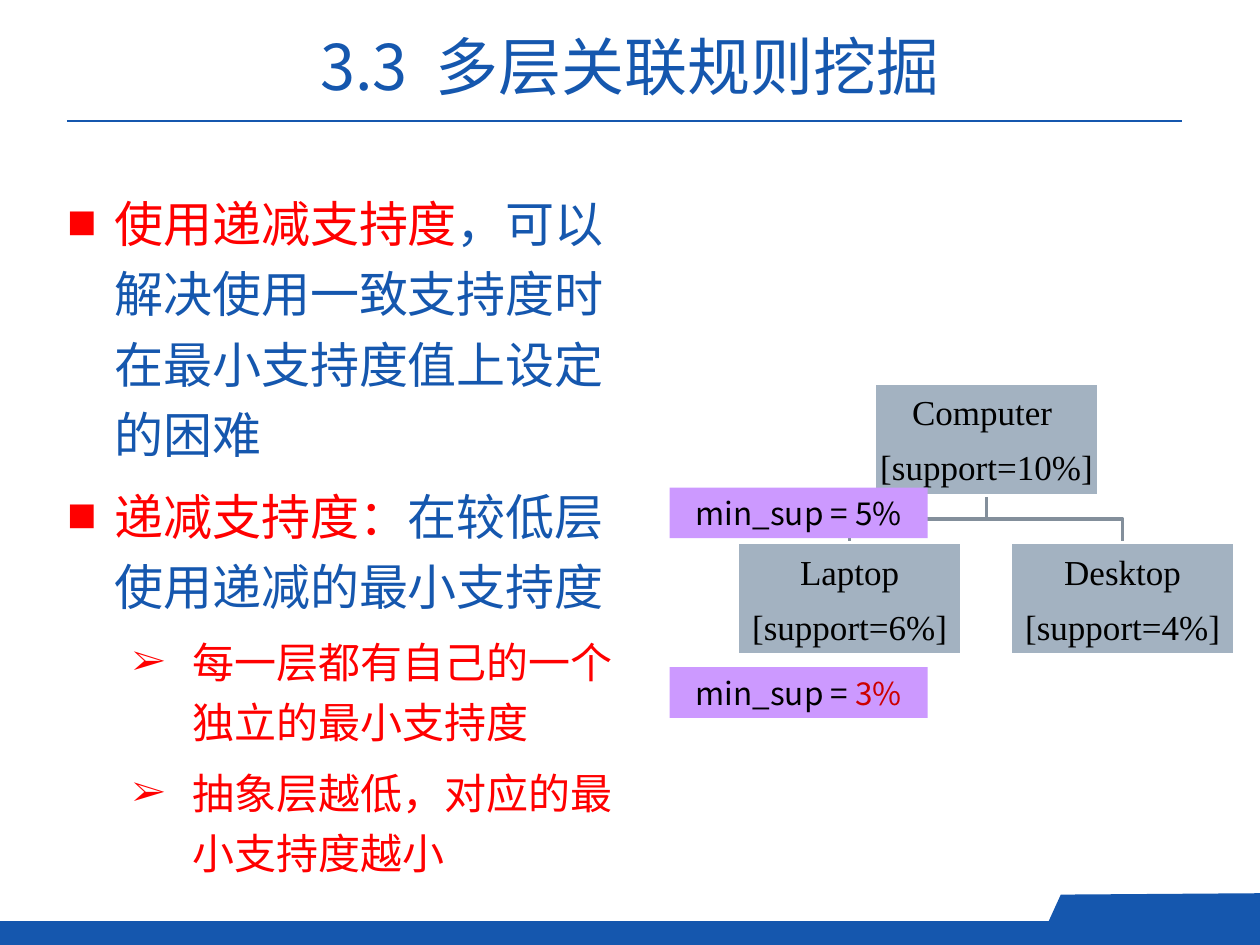
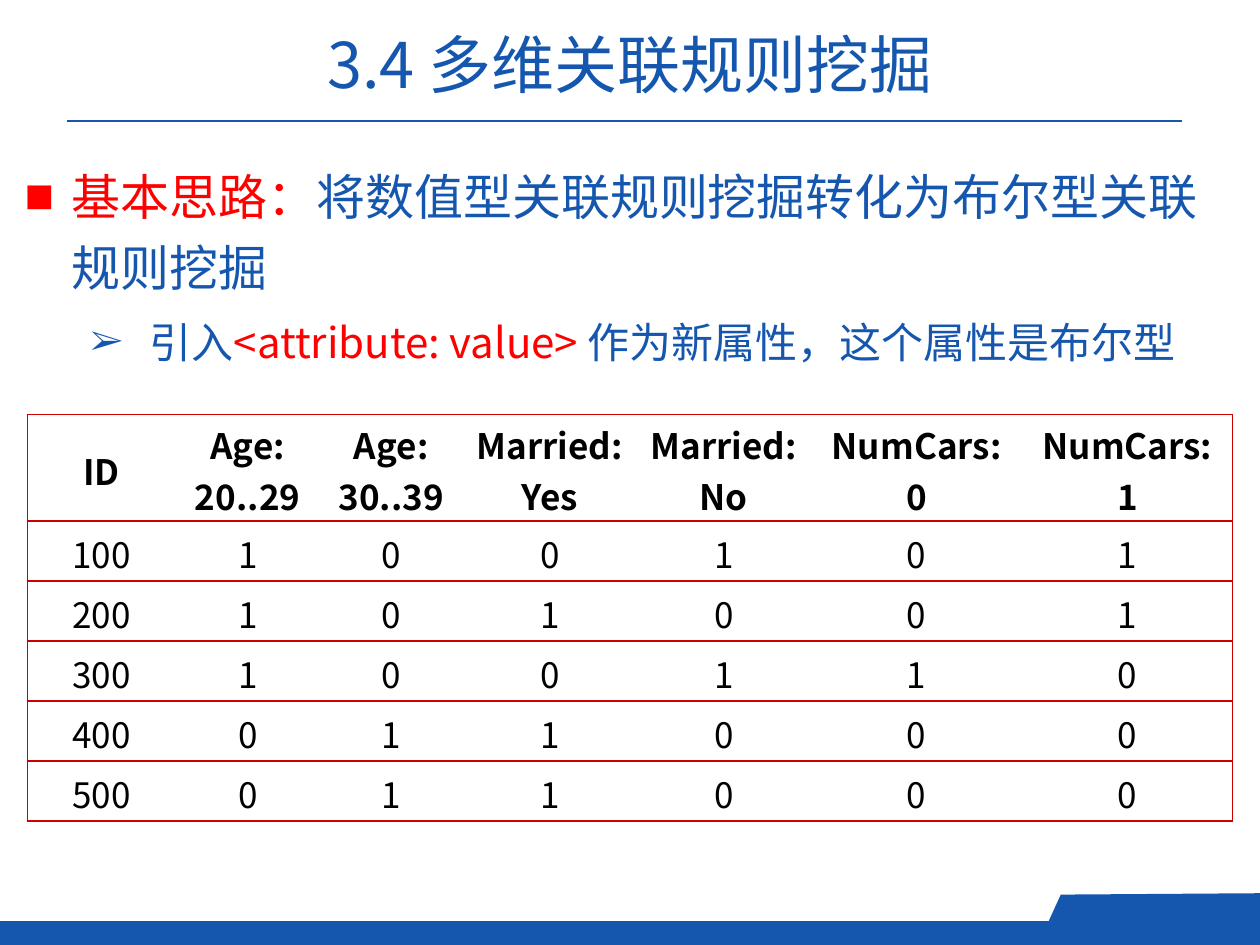
from lxml.etree import SubElement
from pptx import Presentation
from pptx.dml.color import RGBColor
from pptx.enum.shapes import MSO_CONNECTOR, MSO_SHAPE
from pptx.enum.text import MSO_ANCHOR, PP_ALIGN
from pptx.oxml.ns import qn
from pptx.util import Pt

# Content
COLOURS = {"blue": "1557AE", "red": "FF0000", "dark red": "CC0000", "black": "000000",
           "white": "FFFFFF", "node": "A3B2C1", "branch": "838F9B", "threshold": "CC99FF"}
SANS, SERIF = "Noto Sans CJK SC", "Times New Roman"

# Each bullet is a level and its runs of text and colour
SUPPORT_BULLETS = [
    (0, [("使用递减支持度", "red"), ("，可以解决使用一致支持度时在最小支持度值上设定的困难", "blue")]),
    (0, [("递减支持度：", "red"), ("在较低层使用递减的最小支持度", "blue")]),
    (1, [("每一层都有自己的一个独立的最小支持度", "red")]),
    (1, [("抽象层越低，对应的最小支持度越小", "red")]),
]
DIMENSION_BULLETS = [
    (0, [("基本思路：", "red"), ("将数值型关联规则挖掘转化为布尔型关联规则挖掘", "blue")]),
    (1, [("引入", "blue"), ("<attribute: value> ", "red"), ("作为新属性，这个属性是布尔型", "blue")]),
]
ROOT = (["Computer ", "[support=10%]"], 499.4, 219)
CHILDREN = [(["Laptop", "[support=6%]"], 421.2, 310),
            (["Desktop", "[support=4%]"], 577.2, 310)]
THRESHOLDS = [(278.6, [("min_sup = 5%", "black")]),
              (381.2, [("min_sup = ", "black"), ("3%", "dark red")])]
TABLE_ROWS = [
    ["ID", "Age: 20..29", "Age: 30..39", "Married: Yes", "Married: No", "NumCars: 0", "NumCars: 1"],
    ["100", "1", "0", "0", "1", "0", "1"],
    ["200", "1", "0", "1", "0", "0", "1"],
    ["300", "1", "0", "0", "1", "1", "0"],
    ["400", "0", "1", "1", "0", "0", "0"],
    ["500", "0", "1", "1", "0", "0", "0"],
]

# Measures
SLIDE_WIDTH, SLIDE_HEIGHT = 720, 540
NODE_WIDTH, NODE_HEIGHT = 128.7, 64.1
COLUMN_WIDTHS = [85, 82, 82, 99.4, 99.4, 121, 120]
HEADER_HEIGHT, ROW_HEIGHT = 60.8, 34.3
# Symbol, symbol scale, text size, left margin and hanging indent of each level
BULLET_LEVELS = [("■", 100, 28, 27, 27), ("➢", 85, 24, 71.5, 34)]


def colour(name):
    return RGBColor.from_string(COLOURS[name])


def set_font(font, size, ink=None, name=SANS, bold=False):
    font.size, font.name, font.bold = Pt(size), name, bold
    SubElement(font._rPr, qn("a:ea"), typeface=name)
    if ink:
        font.color.rgb = colour(ink)


def fill_paragraph(paragraph, runs, size, name=SANS, bold=False):
    """Write runs of text and colour; a single colour goes on the paragraph."""
    inks = {ink for _, ink in runs}
    shared_ink = runs[0][1] if len(inks) == 1 else None
    set_font(paragraph.font, size, shared_ink, name, bold)
    for text, ink in runs:
        run = paragraph.add_run()
        run.text = text
        if not shared_ink:
            run.font.color.rgb = colour(ink)


def set_margins(holder, left, top, right, bottom):
    holder.margin_left, holder.margin_top = Pt(left), Pt(top)
    holder.margin_right, holder.margin_bottom = Pt(right), Pt(bottom)


def style_shape(shape, fill=None, line=None, width=2):
    shape.shadow.inherit = False
    if fill:
        shape.fill.solid()
        shape.fill.fore_color.rgb = colour(fill)
    else:
        shape.fill.background()
    if line:
        shape.line.color.rgb = colour(line)
        shape.line.width = Pt(width)
    else:
        shape.line.fill.background()


def add_box(slide, left, top, width, height, fill, line=None, kind=MSO_SHAPE.RECTANGLE):
    shape = slide.shapes.add_shape(kind, Pt(left), Pt(top), Pt(width), Pt(height))
    style_shape(shape, fill, line)
    return shape


def add_outline(slide, points, closed, **style):
    corners = [(Pt(x), Pt(y)) for x, y in points]
    builder = slide.shapes.build_freeform(*corners[0])
    builder.add_line_segments(corners[1:], close=closed)
    style_shape(builder.convert_to_shape(), **style)


def add_text_frame(slide, left, top, width, height):
    frame = slide.shapes.add_textbox(Pt(left), Pt(top), Pt(width), Pt(height)).text_frame
    frame.word_wrap = True
    return frame


# Shared slide frame: title rule and footer
def add_slide(presentation):
    slide = presentation.slides.add_slide(presentation.slide_layouts[6])
    rule = slide.shapes.add_connector(MSO_CONNECTOR.STRAIGHT, Pt(38.2), Pt(69.1),
                                      Pt(675.4), Pt(69.1))
    rule.line.color.rgb = colour("blue")
    rule.line.width = Pt(1.5)
    SubElement(rule._element.spPr, qn("a:effectLst"))
    add_box(slide, 0, 526.4, SLIDE_WIDTH, 13.6, "blue", kind=MSO_SHAPE.FLOWCHART_PROCESS)
    add_outline(slide, [(720, 536.4), (720, 510.4), (606.2, 511.2), (594.7, 536.4)],
                True, fill="blue")
    return slide


def add_title(slide, text, top):
    frame = add_text_frame(slide, 45, top, 630, 70.6)
    frame.vertical_anchor = MSO_ANCHOR.BOTTOM
    frame.paragraphs[0].alignment = PP_ALIGN.CENTER
    fill_paragraph(frame.paragraphs[0], [(text, "blue")], 36)


def add_bullets(slide, bullets, left, top, width, height):
    frame = add_text_frame(slide, left, top, width, height)
    for index, (level, runs) in enumerate(bullets):
        paragraph = frame.add_paragraph() if index else frame.paragraphs[0]
        symbol, scale, size, margin, hanging = BULLET_LEVELS[level]
        paragraph.level = level
        paragraph.line_spacing = 1.2
        if index:
            paragraph.space_before = Pt(6)
        properties = paragraph._p.get_or_add_pPr()
        properties.set("marL", str(Pt(margin)))
        properties.set("indent", str(-Pt(hanging)))
        bullet_colour = SubElement(properties, qn("a:buClr"))
        SubElement(bullet_colour, qn("a:srgbClr"), val=COLOURS[runs[0][1]])
        SubElement(properties, qn("a:buSzPct"), val=str(scale * 1000))
        SubElement(properties, qn("a:buFont"), typeface=SERIF)
        SubElement(properties, qn("a:buChar"), char=symbol)
        fill_paragraph(paragraph, runs, size)


# Support hierarchy
def add_node(slide, lines, left, top):
    frame = add_box(slide, left, top, NODE_WIDTH, NODE_HEIGHT, "node", "white").text_frame
    set_margins(frame, 0.7, 0.7, 0.7, 0.7)
    frame.vertical_anchor = MSO_ANCHOR.MIDDLE
    for index, line in enumerate(lines):
        paragraph = frame.add_paragraph() if index else frame.paragraphs[0]
        paragraph.alignment = PP_ALIGN.CENTER
        if index:
            paragraph.space_before = Pt(7.3)
        fill_paragraph(paragraph, [(line, "black")], 20, SERIF)


def add_hierarchy(slide):
    _, root_left, root_top = ROOT
    root_x, root_bottom = root_left + NODE_WIDTH / 2, root_top + NODE_HEIGHT
    for _, left, top in CHILDREN:
        child_x, middle = left + NODE_WIDTH / 2, (root_bottom + top) / 2
        add_outline(slide, [(root_x, root_bottom), (root_x, middle), (child_x, middle),
                            (child_x, top)], False, line="branch")
    for node in [ROOT, *CHILDREN]:
        add_node(slide, *node)


def add_threshold(slide, top, runs):
    frame = add_box(slide, 382.7, top, 147.4, 29, "threshold").text_frame
    set_margins(frame, 7.2, 0, 7.2, 0)
    frame.vertical_anchor = MSO_ANCHOR.MIDDLE
    frame.paragraphs[0].alignment = PP_ALIGN.CENTER
    fill_paragraph(frame.paragraphs[0], runs, 18)


# Boolean attribute table
def set_borders(cell, visible):
    properties = cell._tc.get_or_add_tcPr()
    for side in "LRTB":
        border = SubElement(properties, qn(f"a:ln{side}"), w=str(Pt(1)))
        if side in visible:
            fill = SubElement(border, qn("a:solidFill"))
            SubElement(fill, qn("a:srgbClr"), val=COLOURS["dark red"])
            SubElement(border, qn("a:prstDash"), val="solid")
        else:
            SubElement(border, qn("a:noFill"))


def add_attribute_table(slide):
    heights = [HEADER_HEIGHT] + [ROW_HEIGHT] * (len(TABLE_ROWS) - 1)
    table = slide.shapes.add_table(len(TABLE_ROWS), len(COLUMN_WIDTHS), Pt(15.6), Pt(236.9),
                                   Pt(sum(COLUMN_WIDTHS)), Pt(sum(heights))).table
    table.first_row = table.horz_banding = False
    for column, width in zip(table.columns, COLUMN_WIDTHS):
        column.width = Pt(width)
    last_column = len(COLUMN_WIDTHS) - 1
    for row_index, values in enumerate(TABLE_ROWS):
        is_header = row_index == 0
        table.rows[row_index].height = Pt(heights[row_index])
        for column_index, value in enumerate(values):
            cell = table.cell(row_index, column_index)
            set_borders(cell, "TB" + {0: "L", last_column: "R"}.get(column_index, ""))
            cell.fill.solid()
            cell.fill.fore_color.rgb = colour("white")
            cell.vertical_anchor = MSO_ANCHOR.MIDDLE
            set_margins(cell, 7.2, 2.6 if is_header else 3.6, 7.2, 0 if is_header else 1)
            paragraph = cell.text_frame.paragraphs[0]
            paragraph.alignment = PP_ALIGN.CENTER
            fill_paragraph(paragraph, [(value, "black")], 20, bold=is_header)


def main():
    presentation = Presentation()
    presentation.slide_width, presentation.slide_height = Pt(SLIDE_WIDTH), Pt(SLIDE_HEIGHT)

    # Multilevel rules
    slide = add_slide(presentation)
    add_bullets(slide, SUPPORT_BULLETS, 31.3, 100.1, 341.3, 356.4)
    add_hierarchy(slide)
    for top, runs in THRESHOLDS:
        add_threshold(slide, top, runs)
    add_title(slide, "3.3  多层关联规则挖掘", -7.9)

    # Multidimensional rules
    slide = add_slide(presentation)
    add_bullets(slide, DIMENSION_BULLETS, 7, 85, 706.3, 129.6)
    add_attribute_table(slide)
    add_title(slide, "3.4 多维关联规则挖掘", -9.4)

    presentation.save("out.pptx")


if __name__ == "__main__":
    main()
